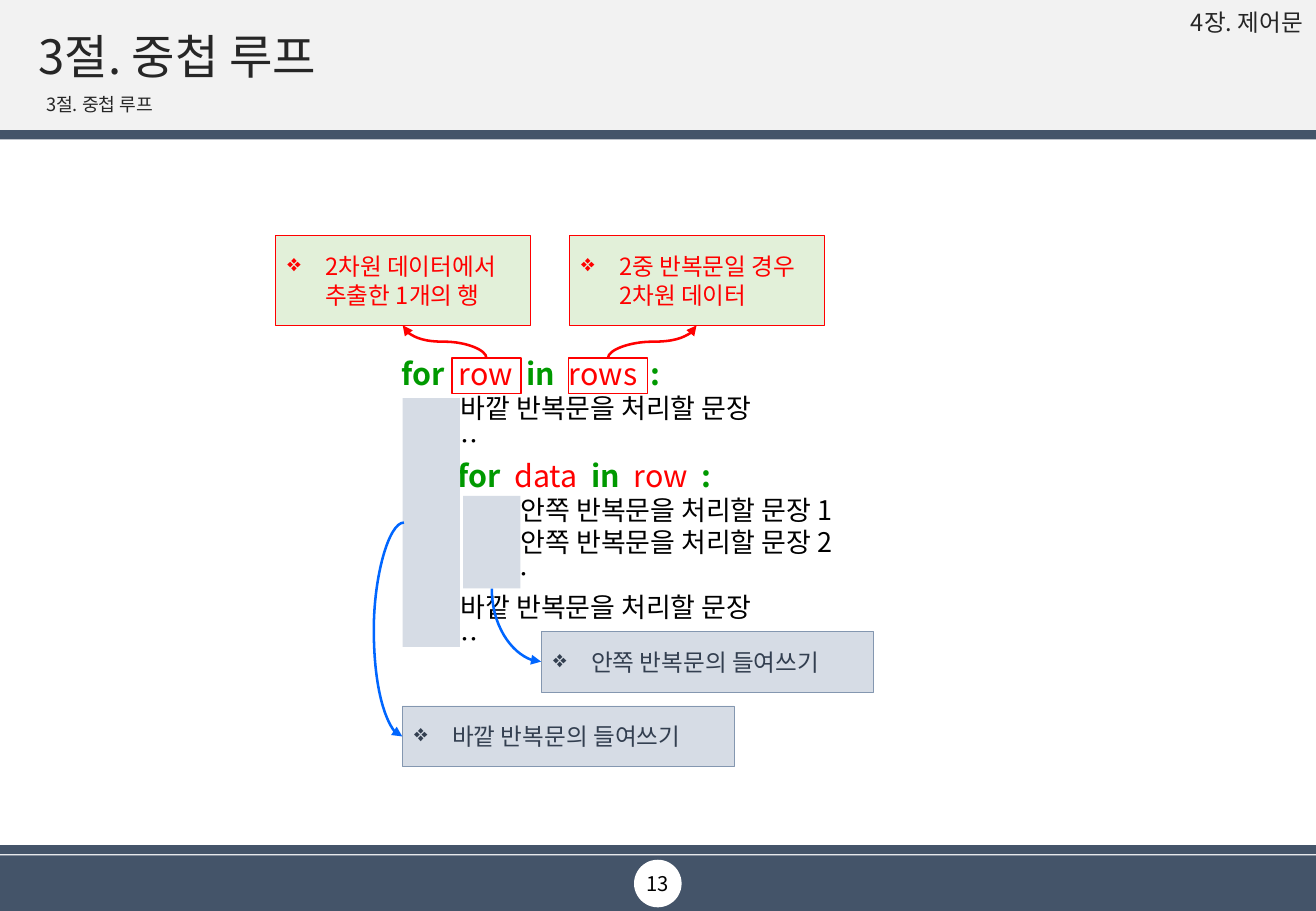
from math import cos, radians, sin

from lxml.etree import SubElement
from pptx import Presentation
from pptx.dml.color import RGBColor
from pptx.enum.shapes import MSO_CONNECTOR as Link, MSO_SHAPE as Shape
from pptx.enum.text import MSO_ANCHOR as Anchor, PP_ALIGN as Align
from pptx.oxml.ns import qn
from pptx.util import Pt

WHITE = RGBColor(0xFF, 0xFF, 0xFF)
BLACK = RGBColor(0x00, 0x00, 0x00)
INK = RGBColor(0x26, 0x26, 0x26)
NAVY = RGBColor(0x44, 0x54, 0x69)
PALE_GRAY = RGBColor(0xF2, 0xF2, 0xF2)
RED = RGBColor(0xFF, 0x00, 0x00)
GREEN = RGBColor(0x00, 0x99, 0x00)
PALE_GREEN = RGBColor(0xE2, 0xF0, 0xD9)
BLUE = RGBColor(0x00, 0x66, 0xFF)
PALE_BLUE = RGBColor(0xD6, 0xDC, 0xE5)
STEEL = RGBColor(0x84, 0x97, 0xB0)
SLATE = RGBColor(0x33, 0x3F, 0x50)

WIDTH, HEIGHT = 780, 540


class SlideBuilder:
    """Holds the slide and its style; all lengths are points."""

    font = "Noto Sans CJK KR"

    def __init__(self, slide):
        self.slide = slide
        self.shapes = slide.shapes

    def style(self, paragraph, size, color=None, align=Align.LEFT):
        paragraph.alignment = align
        paragraph.font.size = Pt(size)
        paragraph.font.name = self.font
        if color is not None:
            paragraph.font.color.rgb = color
        properties = paragraph._p.get_or_add_pPr().get_or_add_defRPr()
        SubElement(properties, qn("a:ea"), typeface=self.font)

    def indent(self, paragraph, left, first=0):
        properties = paragraph._p.get_or_add_pPr()
        properties.set("marL", str(Pt(left)))
        properties.set("indent", str(Pt(first)))
        return properties

    def title(self, box, text, size):
        title = self.shapes.title
        title.left, title.top, title.width, title.height = map(Pt, box)
        title.text_frame.text = text
        title.text_frame.vertical_anchor = Anchor.MIDDLE
        paragraph = title.text_frame.paragraphs[0]
        paragraph.line_spacing = 0.9
        self.style(paragraph, size, INK)
        # Bring the title in front of the header band
        self.shapes._spTree.append(title._element)

    def frame(self, box, anchor=Anchor.MIDDLE):
        frame = self.shapes.add_textbox(*map(Pt, box)).text_frame
        frame.word_wrap = True
        frame.vertical_anchor = anchor
        return frame

    def text(self, box, text, size, color, align=Align.LEFT, anchor=Anchor.MIDDLE,
             spacing=None, before=0, margin=None):
        frame = self.frame(box, anchor)
        if margin is not None:
            frame.margin_left = frame.margin_right = Pt(margin)
            frame.margin_top = frame.margin_bottom = Pt(3)
        paragraph = frame.paragraphs[0]
        paragraph.text = text
        paragraph.line_spacing = spacing
        paragraph.space_before = Pt(before)
        self.style(paragraph, size, color, align)

    def block(self, box, fill=None, line=None, weight=1, kind=Shape.RECTANGLE):
        block = self.shapes.add_shape(kind, *map(Pt, box))
        block.shadow.inherit = False
        if fill is None:
            block.fill.background()
        else:
            block.fill.solid()
            block.fill.fore_color.rgb = fill
        if line is None:
            block.line.fill.background()
        else:
            block.line.color.rgb = line
            block.line.width = Pt(weight)
        return block

    def callout(self, box, text, color, fill, line):
        frame = self.block(box, fill, line, 0.25).text_frame
        frame.word_wrap = True
        frame.vertical_anchor = Anchor.MIDDLE
        paragraph = frame.paragraphs[0]
        paragraph.text = text
        properties = self.indent(paragraph, 22.5, -22.5)
        SubElement(properties, qn("a:buChar"), char="❖")
        self.style(paragraph, 14, color)

    def code(self, box, lines):
        frame = self.frame(box)
        for number, (left, size, words) in enumerate(lines):
            paragraph = frame.paragraphs[0] if number == 0 else frame.add_paragraph()
            self.indent(paragraph, left)
            self.style(paragraph, size)
            for position, (word, color) in enumerate(words):
                if position:
                    # One space, widened to separate the code words
                    gap = paragraph.add_run()
                    gap.text = " "
                    gap.font._element.set("spc", "410")
                run = paragraph.add_run()
                run.text = word
                run.font.color.rgb = color
                run.font.bold = color == GREEN

    def curve(self, start, end, turn, color, preset="curvedConnector3", bend=None):
        """Curved arrow whose box is turned clockwise by `turn` degrees."""
        dx, dy = end[0] - start[0], end[1] - start[1]
        c, s = cos(radians(turn)), sin(radians(turn))
        half = ((dx * c + dy * s) / 2, (dy * c - dx * s) / 2)
        middle = ((start[0] + end[0]) / 2, (start[1] + end[1]) / 2)
        begin = [Pt(m - h) for m, h in zip(middle, half)]
        finish = [Pt(m + h) for m, h in zip(middle, half)]
        arrow = self.shapes.add_connector(Link.CURVE, *begin, *finish)
        arrow.line.color.rgb = color
        arrow.line.width = Pt(1.5)
        properties = arrow._element.spPr
        properties.find(qn("a:xfrm")).set("rot", str(turn * 60000))
        geometry = properties.find(qn("a:prstGeom"))
        geometry.set("prst", preset)
        if bend is not None:
            guides = geometry.find(qn("a:avLst"))
            if guides is None:
                guides = SubElement(geometry, qn("a:avLst"))
            SubElement(guides, qn("a:gd"), name="adj1", fmla=f"val {bend * 100000}")
        SubElement(properties.find(qn("a:ln")), qn("a:tailEnd"), type="triangle")
        SubElement(properties, qn("a:effectLst"))


def main():
    deck = Presentation()
    deck.slide_width, deck.slide_height = Pt(WIDTH), Pt(HEIGHT)
    page = SlideBuilder(deck.slides.add_slide(deck.slide_layouts[5]))

    # Header and footer bands
    page.block((0, 507, WIDTH, 33), NAVY)
    page.block((0, 501, WIDTH, 5.3), NAVY)
    page.block((375.8, 509.6, 28.2, 28.2), WHITE, kind=Shape.OVAL)
    page.block((0, 0, WIDTH, 77.2), PALE_GRAY)
    page.block((0, 77.2, WIDTH, 5.5), NAVY)

    # Headings
    page.text((699.8, 3.6, 75.6, 21), "4장. 제어문", 14, INK, Align.RIGHT,
              Anchor.TOP, spacing=0.9, before=8.1, margin=3)
    page.title((15.8, 15.1, 748, 39.6), "3절. 중첩 루프", 28)
    page.text((21.6, 54.7, 743, 17.3), "3절. 중첩 루프", 10.8, INK,
              spacing=0.7, before=8.1, margin=5.7)

    # Nested loop code: indent, size, coloured words
    outer_text = (35, 16, [("바깥 반복문을 처리할 문장", BLACK)])
    outer_more = (29.5, 16, [("…", BLACK)])
    page.code((231.1, 204.5, 285, 190), [
        (0, 18, [("for", GREEN), ("row", RED), ("in", GREEN), ("rows", RED), (":", GREEN)]),
        outer_text,
        outer_more,
        (33, 18, [("for", GREEN), ("data", RED), ("in", GREEN), ("row", RED), (":", GREEN)]),
        (70.5, 16, [("안쪽 반복문을 처리할 문장 1", BLACK)]),
        (70.5, 16, [("안쪽 반복문을 처리할 문장 2", BLACK)]),
        (59, 16, [("…", BLACK)]),
        outer_text,
        outer_more,
    ])

    # Indent strips and word frames
    page.block((238.6, 236, 34, 147.5), PALE_BLUE)
    page.block((274.5, 293.9, 34, 55), PALE_BLUE)
    page.block((267.8, 212.2, 41, 21), line=RED)
    page.block((337, 212.2, 46.8, 21), line=RED)

    # Callouts
    for left, note in ((163.2, "2차원 데이터에서 추출한 1개의 행"),
                       (337.4, "2중 반복문일 경우 2차원 데이터")):
        page.callout((left, 139.6, 151, 53.3), note, RED, PALE_GREEN, RED)
    for left, top, note in ((238.4, 418.5, "바깥 반복문의 들여쓰기"),
                            (320.7, 374.2, "안쪽 반복문의 들여쓰기")):
        page.callout((left, top, 196.8, 36), note, SLATE, PALE_BLUE, STEEL)

    # Curved arrows
    page.curve((360.4, 212.2), (412.9, 192.9), 90, RED)
    page.curve((288.3, 212.2), (238.7, 192.9), 270, RED)
    page.curve((239.4, 309.7), (238.4, 436.5), 180, BLUE, bend=18)
    page.curve((291.5, 348.9), (320.7, 392.2), 270, BLUE, "curvedConnector2")

    # Page number
    page.text((302.4, 509.6, 175.2, 28.2), "13", 12, BLACK, Align.CENTER)

    deck.save("out.pptx")


if __name__ == "__main__":
    main()
